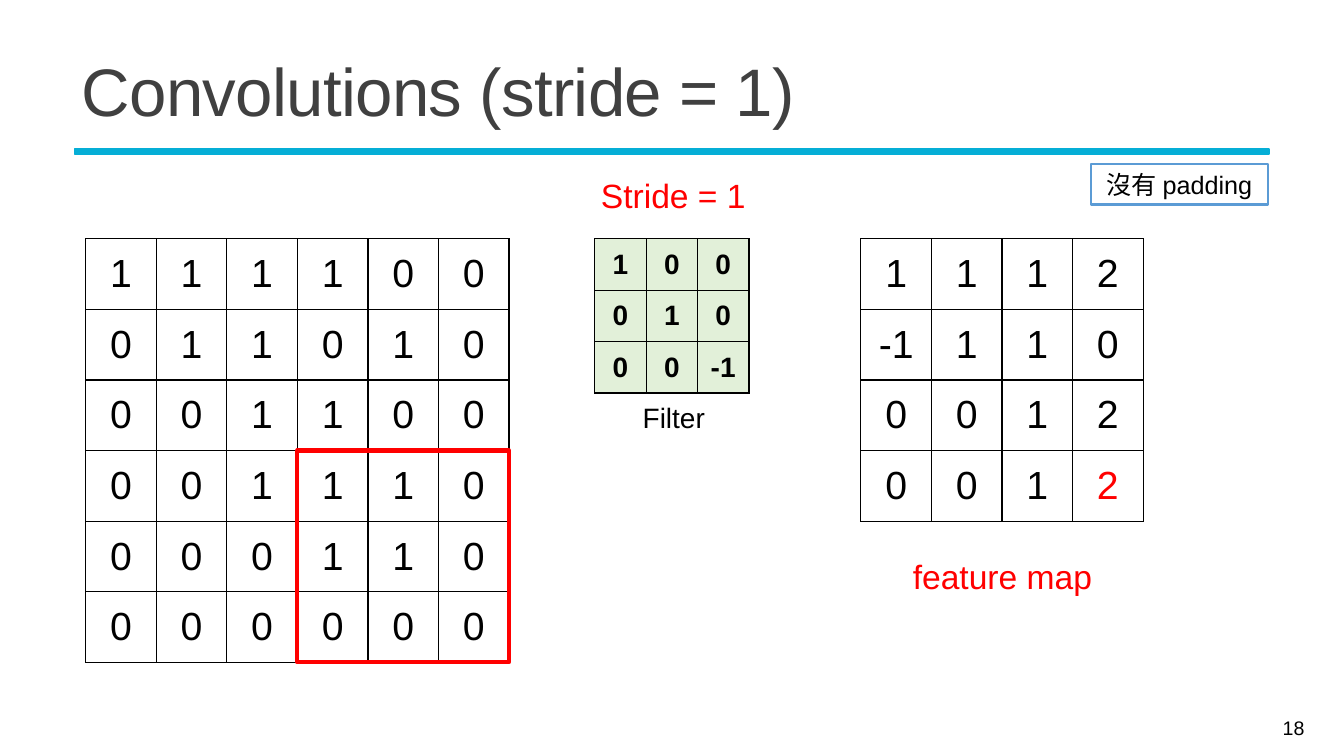
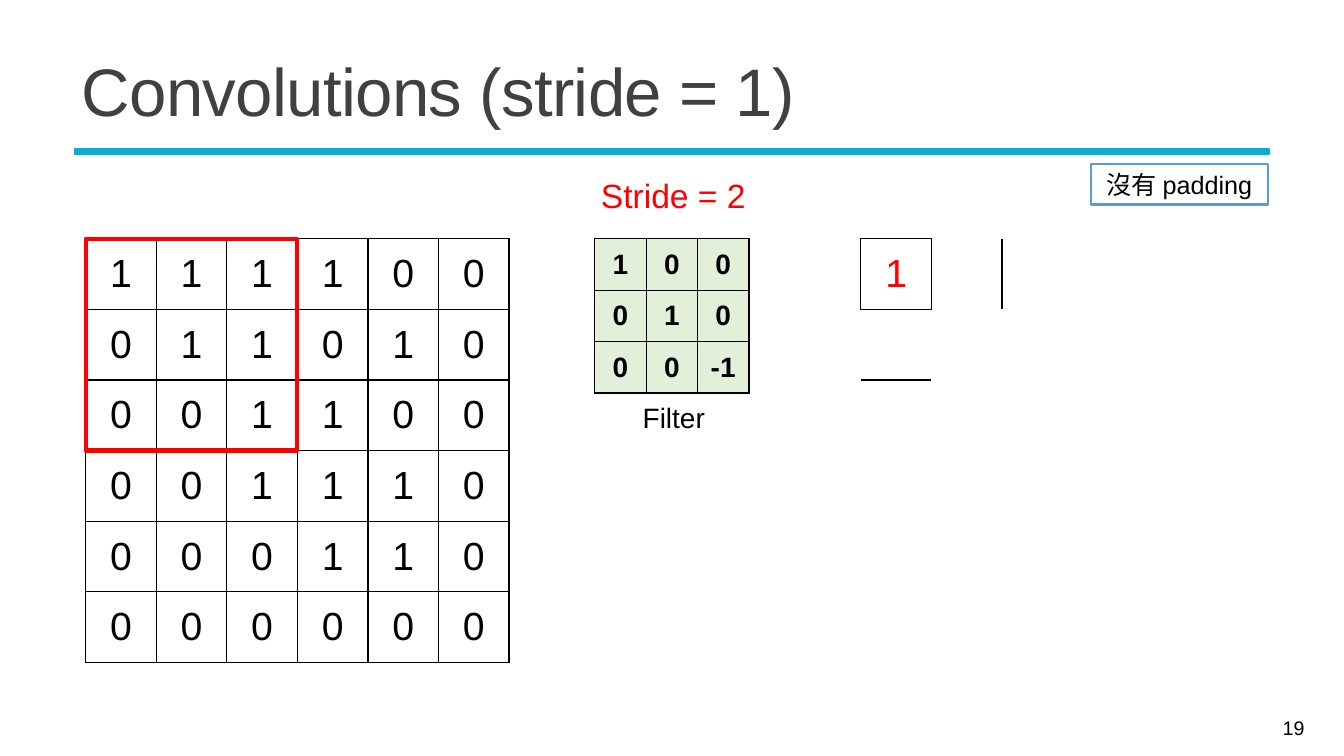
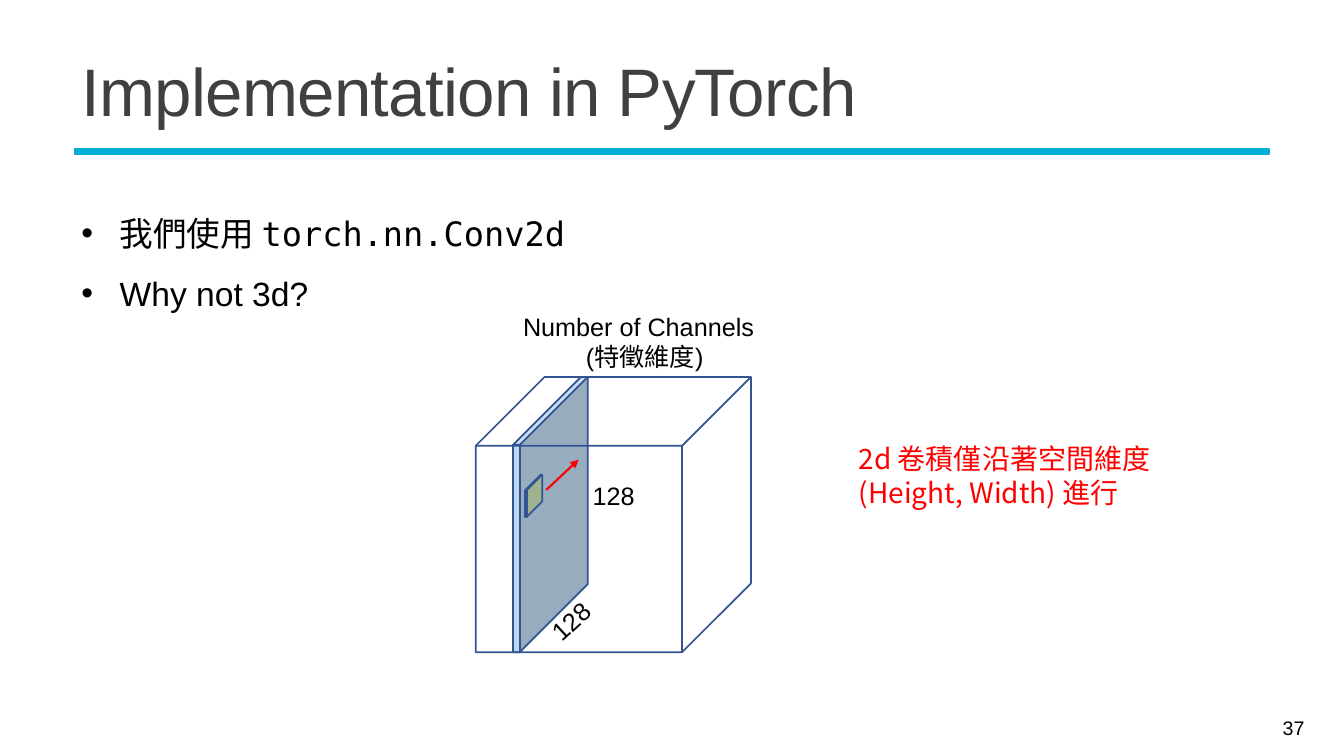
from dataclasses import dataclass

from lxml import etree
from pptx import Presentation, util as u
from pptx.dml.color import RGBColor
from pptx.enum import shapes as es, text as et
from pptx.oxml.ns import qn

# Lengths are columns and rows of a grid with ten lines to the inch
STEP = u.Inches(0.1)
WIDE, HIGH = 133.33, 75
CELL, SMALL = 7, 5.1
TOP = 23.7

SANS, MONO, HAN = "Arial", "DejaVu Sans Mono", "Noto Sans CJK TC"
BLACK, GRAY, RED = "000000", "404040", "FF0000"
TEAL, BLUE, NAVY = "05AED6", "5B9BD5", "325491"
MINT, SKY, LEAF = "E2F0D9", "BDD7EE", "C5E0B4"
PLAIN = "{2D5ABB26-0587-4C30-8999-92F81FD0307C}"

LEFT, MID, RIGHT = et.PP_ALIGN.LEFT, et.PP_ALIGN.CENTER, et.PP_ALIGN.RIGHT
UP, HALF = et.MSO_ANCHOR.TOP, et.MSO_ANCHOR.MIDDLE
RECT, CUBE = es.MSO_SHAPE.RECTANGLE, es.MSO_SHAPE.CUBE


@dataclass
class Box:
    x: float
    y: float
    w: float
    h: float

    def emu(self) -> list:
        return [grid(n) for n in (self.x, self.y, self.w, self.h)]


@dataclass
class Matrix:
    x: float
    rows: list
    side: float = CELL
    size: int = 28
    bold: bool = False
    fill: str = ""
    pad: tuple = (0.9, 0.5)
    hot: tuple = ()


@dataclass
class Stage:
    page: int
    stride: int
    out: Matrix
    spot: tuple
    name: str = ""


IMAGE = Matrix(8.5, ["1 1 1 1 0 0", "0 1 1 0 1 0", "0 0 1 1 0 0",
                     "0 0 1 1 1 0", "0 0 0 1 1 0", "0 0 0 0 0 0"])
KERNEL = Matrix(59, ["1 0 0", "0 1 0", "0 0 -1"], SMALL, 20, True, MINT, (0.7, 0.3))
# A dot stands for a cell not yet filled
STAGES = [
    Stage(18, 1, Matrix(85.4, ["1 1 1 2", "-1 1 1 0", "0 0 1 2", "0 0 1 2"],
                        hot=(3, 3)), (3, 3), "feature map"),
    Stage(19, 2, Matrix(85.4, ["1 . . ."] + [". . . ."] * 3, hot=(0, 0)), (0, 0)),
]


def grid(n: float) -> int:
    return round(n * STEP)


def paint(part, color: str) -> None:
    """Set a solid colour on a fill, or clear it when no colour is given."""
    if color:
        part.solid()
        part.fore_color.rgb = RGBColor.from_string(color)
    else:
        part.background()


# Text
def write(frame, paras, size=18, color=BLACK, font=SANS, bold=False, align=(LEFT,),
          anchor=UP, space=None, track=0, bullet=False, grow=True) -> None:
    """Fill a frame; a paragraph is a string or a list of (text, font) runs."""
    frame.word_wrap = True
    frame.vertical_anchor = anchor
    frame.auto_size = (et.MSO_AUTO_SIZE.SHAPE_TO_FIT_TEXT if grow
                       else et.MSO_AUTO_SIZE.NONE)
    for i, item in enumerate(paras):
        para = frame.paragraphs[0] if i == 0 else frame.add_paragraph()
        para.alignment = align[i % len(align)]
        if space:
            para.line_spacing = space
        if bullet:
            prop = para._p.get_or_add_pPr()
            prop.set("marL", str(grid(3.8)))
            prop.set("indent", str(-grid(3.8)))
            etree.SubElement(prop, qn("a:buFont")).set("typeface", SANS)
            etree.SubElement(prop, qn("a:buChar")).set("char", "•")
        for words, face in [(item, font)] if isinstance(item, str) else item:
            run = para.add_run()
            run.text = words
            run.font.size, run.font.bold, run.font.name = u.Pt(size), bold, face
            paint(run.font.fill, color)
            prop = run._r.get_or_add_rPr()
            if track:
                prop.set("spc", str(track))
            etree.SubElement(prop, qn("a:ea")).set("typeface", HAN)


def label(slide, box: Box, *paras, turn: float = 0, **form) -> None:
    area = slide.shapes.add_textbox(*box.emu())
    area.rotation = turn
    write(area.text_frame, paras, **form)


# Shapes
def draw(slide, kind, box: Box, line: str, width: float, fill: str = "",
         bend: float | None = None):
    shape = slide.shapes.add_shape(kind, *box.emu())
    shape.shadow.inherit = False
    paint(shape.fill, fill)
    paint(shape.line.fill, line)
    shape.line.width = u.Pt(width)
    if bend is not None:
        shape.adjustments[0] = bend
    return shape


def arrow(slide, start: tuple, end: tuple, color: str) -> None:
    line = slide.shapes.add_connector(
        es.MSO_CONNECTOR.STRAIGHT, *(grid(n) for n in start + end))
    paint(line.line.fill, color)
    line.line.width = u.Pt(1.5)
    prop = line._element.spPr
    etree.SubElement(prop.find(qn("a:ln")), qn("a:tailEnd")).set("type", "triangle")
    etree.SubElement(prop, qn("a:effectLst"))


# Tables
def edge(cell, sides: list) -> None:
    """Draw thin black borders on the named sides of a cell."""
    prop = cell._tc.get_or_add_tcPr()
    for i, side in enumerate(sides):
        line = etree.Element(qn("a:ln" + side), w=str(u.Pt(1)))
        fill = etree.SubElement(line, qn("a:solidFill"))
        etree.SubElement(fill, qn("a:srgbClr")).set("val", BLACK)
        prop.insert(i, line)


def table(slide, data: Matrix) -> None:
    rows = [row.split() for row in data.rows]
    count = len(rows)
    span = count * data.side
    item = slide.shapes.add_table(count, count, *Box(data.x, TOP, span, span).emu())
    grid_table = item.table
    item._element.find(".//" + qn("a:tableStyleId")).text = PLAIN
    grid_table.first_row = grid_table.horz_banding = False
    for line in (*grid_table.columns, ):
        line.width = grid(data.side)
    for line in grid_table.rows:
        line.height = grid(data.side)

    def full(r: int, c: int) -> bool:
        return 0 <= r < count and 0 <= c < count and rows[r][c] != "."

    for r, row in enumerate(rows):
        for c, value in enumerate(row):
            cell = grid_table.cell(r, c)
            cell.vertical_anchor = HALF
            cell.margin_left = cell.margin_right = grid(data.pad[0])
            cell.margin_top = cell.margin_bottom = grid(data.pad[1])
            paint(cell.fill, data.fill)
            near = {"L": (r, c - 1), "R": (r, c + 1), "T": (r - 1, c), "B": (r + 1, c)}
            edge(cell, [s for s, spot in near.items() if full(r, c) or full(*spot)])
            if full(r, c):
                para = cell.text_frame.paragraphs[0]
                para.alignment = MID
                run = para.add_run()
                run.text = value
                run.font.size, run.font.name = u.Pt(data.size), SANS
                run.font.bold = data.bold
                paint(run.font.fill, RED if (r, c) == data.hot else BLACK)


# Slides
def base(deck, title: str, page: int):
    """Add a slide with the shared title, band and page number."""
    slide = deck.slides.add_slide(deck.slide_layouts[5])
    draw(slide, RECT, Box(7.4, 14.8, 118.5, 0.5), TEAL, 1.25, TEAL)
    head = slide.shapes.title
    head.left, head.top, head.width, head.height = Box(7.1, 3.9, 119.4, 11.3).emu()
    write(head.text_frame, [title], size=48, color=GRAY, anchor=HALF,
          space=0.85, track=-50, grow=False)
    label(slide, Box(116.1, 70.2, 14.3, 4), str(page), size=14, align=(RIGHT,),
          anchor=HALF, grow=False)
    return slide


def stride(deck, stage: Stage) -> None:
    slide = base(deck, "Convolutions (stride = 1)", stage.page)
    table(slide, IMAGE)
    table(slide, KERNEL)
    r, c = stage.spot
    draw(slide, RECT, Box(IMAGE.x + c * CELL, TOP + r * CELL, 3 * CELL, 3 * CELL), RED, 3)
    table(slide, stage.out)
    label(slide, Box(59.2, 39.2, 15.3, 4.4), "Filter", size=20, align=(MID,))
    if stage.name:
        label(slide, Box(87.8, 52.9, 23.3, 6.4), stage.name, size=24, color=RED,
              align=(MID,), anchor=HALF, space=1.5)
    label(slide, Box(58, 16.9, 17.6, 5), f"Stride = {stage.stride}", size=24,
          color=RED, align=(MID,))
    tag = draw(slide, RECT, Box(108.2, 16.3, 17.6, 4), BLUE, 1.5)
    write(tag.text_frame, ["沒有 padding"], align=(MID,))


def torch(deck) -> None:
    slide = base(deck, "Implementation in PyTorch", 37)
    label(slide, Box(7.1, 18.6, 119.4, 12.5),
          [("我們使用 ", SANS), ("torch.nn.Conv2d", MONO)], "Why not 3d?",
          size=24, space=1.5, bullet=True)
    # Volume with one channel slice
    draw(slide, CUBE, Box(50.9, 37.4, 7.4, 27.3), NAVY, 1.25, SKY, 0.91)
    draw(slide, CUBE, Box(47.2, 37.4, 27.3, 27.3), NAVY, 1.25)
    label(slide, Box(53.3, 59, 7.9, 4), "128", turn=317.3)
    label(slide, Box(57.8, 47.2, 7.9, 4), "128")
    label(slide, Box(50.9, 30.4, 26.1, 7.1), "Number of Channels", "(特徵維度)",
          align=(LEFT, MID))
    # Kernel moving over the slice
    draw(slide, CUBE, Box(52.1, 47.1, 1.7, 4.2), NAVY, 1.25, LEAF, 0.91)
    arrow(slide, (54.2, 48.6), (57.4, 45.6), RED)
    label(slide, Box(84.2, 43.3, 33.7, 7.7),
          "2d 卷積僅沿著空間維度 (Height, Width) 進行", size=20, color=RED, font=HAN)


def main() -> None:
    deck = Presentation()
    deck.slide_width, deck.slide_height = grid(WIDE), grid(HIGH)
    for stage in STAGES:
        stride(deck, stage)
    torch(deck)
    deck.save("out.pptx")


if __name__ == "__main__":
    main()
